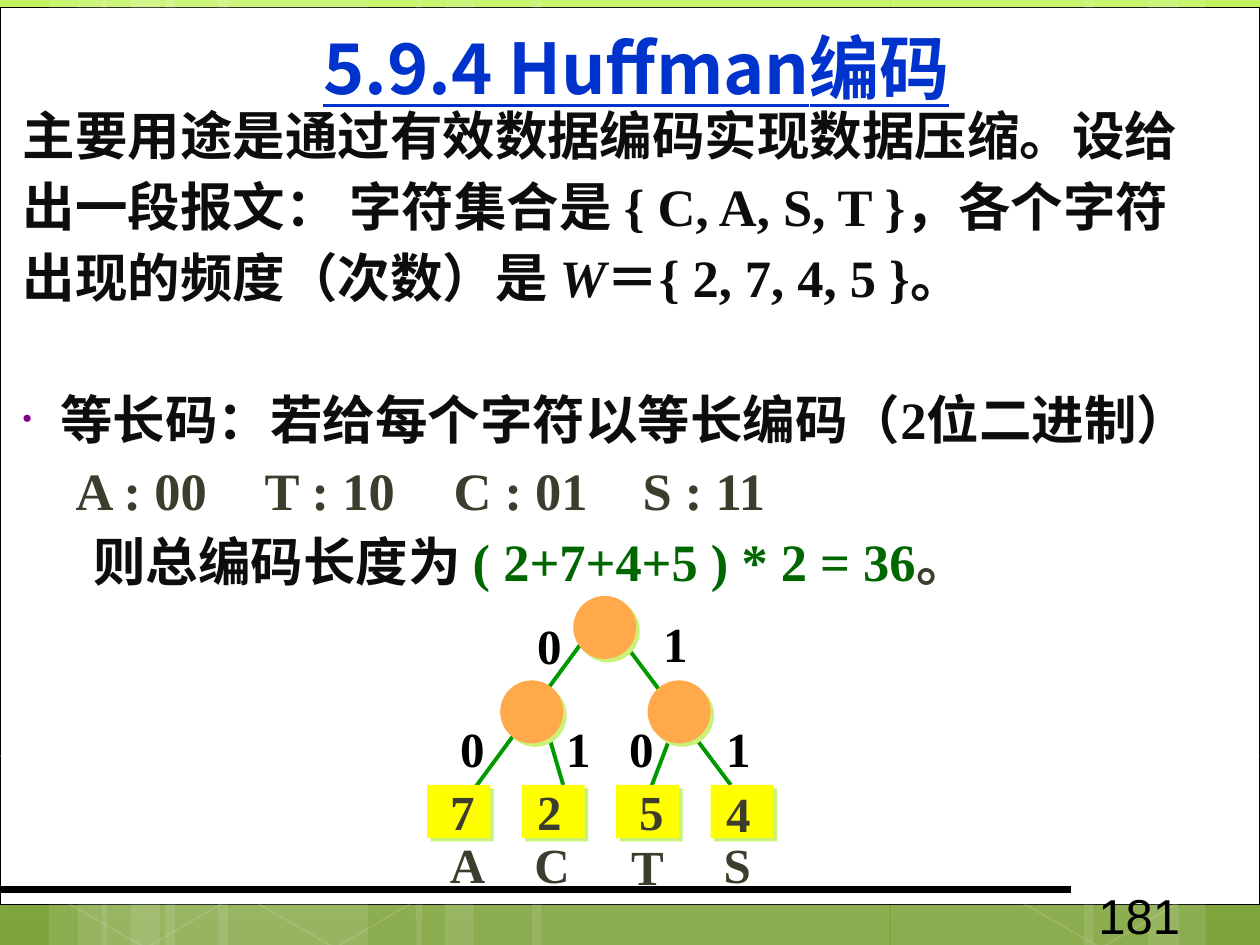
"""Builds a slide on Huffman coding with an equal-length code tree."""
import copy

import pptx
import pptx.util
import pptx.dml.color
import pptx.enum.shapes
import pptx.enum.text
import pptx.oxml.ns
from lxml import etree

Inches = pptx.util.Inches
Pt = pptx.util.Pt
RGBColor = pptx.dml.color.RGBColor
SHAPE = pptx.enum.shapes.MSO_SHAPE
STRAIGHT = pptx.enum.shapes.MSO_CONNECTOR.STRAIGHT
MIDDLE = pptx.enum.text.MSO_ANCHOR.MIDDLE
CENTER = pptx.enum.text.PP_ALIGN.CENTER
NO_FIT = pptx.enum.text.MSO_AUTO_SIZE.NONE
qn = pptx.oxml.ns.qn

WHITE = RGBColor(0xFF, 0xFF, 0xFF)
BLACK = RGBColor(0x00, 0x00, 0x00)
LIME = RGBColor(0xC2, 0xF3, 0x5F)
LEAF = RGBColor(0x92, 0xBE, 0x3F)
MOSS = RGBColor(0x80, 0xA3, 0x3D)
BLUE = RGBColor(0x00, 0x33, 0xCC)
INK = RGBColor(0x0D, 0x0D, 0x0D)
OLIVE = RGBColor(0x3E, 0x3D, 0x2D)
DARK_GREEN = RGBColor(0x00, 0x66, 0x00)
EDGE_GREEN = RGBColor(0x00, 0x99, 0x00)
ORANGE = RGBColor(0xFF, 0xA9, 0x4A)
YELLOW = RGBColor(0xFF, 0xFF, 0x00)
SERIF = "Times New Roman"
CJK = "Noto Sans CJK JP"


def add_text(para, text, size=28, color=OLIVE, font=SERIF, bold=True, italic=False, underline=False):
    span = para.add_run()
    span.text = text
    span.font.size = Pt(size)
    span.font.bold = bold
    span.font.italic = italic
    span.font.underline = underline
    span.font.color.rgb = color
    span.font.name = font
    span.font._element.find(qn("a:latin")).addnext(
        etree.Element(qn("a:ea"), typeface=CJK))


def set_alpha(element, percent):
    for color in element.iter(qn("a:srgbClr")):
        etree.SubElement(color, qn("a:alpha"), val=str(percent * 1000))


deck = pptx.Presentation()
deck.slide_width = Inches(10)
deck.slide_height = Inches(7.5)
slide = deck.slides.add_slide(deck.slide_layouts[1])
shapes = slide.shapes

backdrop = slide.background.fill
backdrop.gradient()
backdrop.gradient_angle = 270
stop_list = next(slide.element.iter(qn("a:gsLst")))
stop_list.insert(1, copy.deepcopy(stop_list[0]))
for stop, color, position in zip(backdrop.gradient_stops, (LIME, LEAF, MOSS), (0, 0.62, 1)):
    stop.color.rgb = color
    stop.position = position

panel = shapes.add_shape(SHAPE.RECTANGLE, 0, Inches(0.06), Inches(10), Inches(7.12))
panel.shadow.inherit = False
panel.fill.solid()
panel.fill.fore_color.rgb = WHITE
panel.line.color.rgb = BLACK
panel.line.width = Pt(0.5)

for left, width in [(1.31, 1.61), (0.39, 0.46), (0.62, 0.77), (1.73, 1.62), (0.81, 0.46),
                    (1.04, 0.77), (7.07, 1.61), (9.11, 0.46), (8.6, 0.76), (4.22, 2.84),
                    (3.3, 0.46), (3.53, 0.77)]:
    band = shapes.add_shape(SHAPE.RECTANGLE, Inches(left), 0, Inches(width), Inches(7.5))
    band.shadow.inherit = False
    band.fill.solid()
    band.fill.fore_color.rgb = WHITE
    band.line.fill.background()
    set_alpha(band._element, 10)

for points in [
    [(0.36, 6.17), (2, 6.96), (3.39, 7.49)],
    [(0.37, 5.78), (1.49, 6.16), (3.59, 6.73), (6.09, 7.18), (8.16, 7.36), (9.01, 7.38), (9.58, 7.34)],
    [(2.54, 7.49), (3.09, 6.91), (3.88, 6.39), (4.63, 6.09), (5.91, 5.78), (6.57, 5.69),
     (7.62, 5.62), (9.08, 5.62), (9.57, 5.66)],
]:
    builder = shapes.build_freeform(*points[0], scale=Inches(1))
    builder.add_line_segments(points[1:], close=False)
    curve = builder.convert_to_shape()
    curve.shadow.inherit = False
    curve.fill.background()
    curve.line.color.rgb = WHITE
    curve.line.width = Pt(0.5)
    set_alpha(curve._element, 20)

for left in (0.41, 1.91, 7.99):
    hexagon = shapes.add_shape(SHAPE.HEXAGON, Inches(left), Inches(5.92), Inches(1.61), Inches(1.52))
    hexagon.rotation = 30
    hexagon.adjustments[0] = 0.285
    hexagon.shadow.inherit = False
    hexagon.fill.background()
    hexagon.line.color.rgb = WHITE
    hexagon.line.width = Pt(1)
    set_alpha(hexagon._element, 12)

title, body = shapes.title, slide.placeholders[1]
frame = title.text_frame
title.left, title.top, title.width, title.height = Inches(0.55), 0, Inches(9), Inches(1.06)
frame.margin_left = frame.margin_right = frame.margin_top = frame.margin_bottom = 0
frame.vertical_anchor = MIDDLE
frame.word_wrap = False
frame.auto_size = NO_FIT
frame.paragraphs[0].alignment = CENTER
add_text(frame.paragraphs[0], "5.9.4 Huffman编码", size=40, color=BLUE, font=CJK, underline=True)

body.left, body.top, body.width, body.height = 0, Inches(0.8), Inches(9.8), Inches(6.18)
frame = body.text_frame
frame.margin_top = Inches(0.02)
frame.word_wrap = True
frame.auto_size = NO_FIT
lines = [
    (0.08, [("主要用途是通过有效数据编码实现数据压缩。设给", INK)]),
    (0.08, [("出一段报文： 字符集合是 { C, A, S, T }，各个字符", INK)]),
    (0.08, [("出现的频度（次数）是 ", INK), ("W", INK), ("＝{ 2, 7, 4, 5 }。", INK)]),
    (0.38, [("等长码：若给每个字符以等长编码（2位二进制）", INK)]),
    (0, [("\tA : 00\tT : 10\tC : 01\tS : 11", OLIVE)]),
    (0.64, [("则总编码长度为 ", INK), ("( 2+7+4+5 ) * 2 = 36", DARK_GREEN), ("。", OLIVE)]),
]
for index, (indent, spans) in enumerate(lines):
    para = frame.paragraphs[0] if index == 0 else frame.add_paragraph()
    bulleted = index == 3
    para.line_spacing = Pt(36)
    para.space_before = Pt(45 if bulleted else 4.5)
    for text, color in spans:
        add_text(para, text, size=30, color=color, italic=text == "W")
    properties = para._p.get_or_add_pPr()
    properties.set("marL", str(Inches(indent)))
    properties.set("indent", str(Inches(-0.3 if bulleted else 0)))
    if bulleted:
        bullet_color = etree.SubElement(properties, qn("a:buClr"))
        etree.SubElement(bullet_color, qn("a:srgbClr"), val="800080")
        etree.SubElement(properties, qn("a:buSzPct"), val="50000")
        etree.SubElement(properties, qn("a:buChar"), char="•")
    else:
        etree.SubElement(properties, qn("a:buNone"))
    if "\t" in spans[0][0]:
        tabs = etree.SubElement(properties, qn("a:tabLst"))
        for position in (1.41, 2.78, 4.23, 5.71):
            etree.SubElement(tabs, qn("a:tab"), pos=str(Inches(position)), algn="l")

for start_x, start_y, end_x, end_y, color, width in [
    (0, 7.06, 8.5, 7.06, BLACK, 4.5),
    (5.3, 5.9, 5.14, 6.32, EDGE_GREEN, 2.25),
    (4.8, 4.9, 5.8, 6.23, EDGE_GREEN, 2.25),
    (4.3, 5.65, 4.47, 6.23, EDGE_GREEN, 2.25),
    (4.64, 5.07, 3.72, 6.32, EDGE_GREEN, 2.25),
]:
    edge = shapes.add_connector(STRAIGHT, Inches(start_x), Inches(start_y), Inches(end_x), Inches(end_y))
    edge.line.color.rgb = color
    edge.line.width = Pt(width)
    etree.SubElement(edge._element.spPr, qn("a:effectLst"))
    if color == BLACK:
        for placeholder in (title, body):
            edge._element.getparent().append(placeholder._element)

nodes = [(SHAPE.OVAL, left, top, 0.5, ORANGE) for left, top in [(4.55, 4.73), (3.97, 5.4), (5.14, 5.4)]]
nodes += [(SHAPE.RECTANGLE, 3.39 + 0.75 * column, 6.23, 0.42, YELLOW) for column in range(4)]
for kind, left, top, height, color in nodes:
    node = shapes.add_shape(kind, Inches(left), Inches(top), Inches(0.5), Inches(height))
    node.fill.solid()
    node.fill.fore_color.rgb = color
    node.line.fill.background()
    node.shadow.inherit = False
    shadow = etree.SubElement(node._element.spPr.find(qn("a:effectLst")), qn("a:outerShdw"),
                              dist=str(Pt(2.8)), dir="2700000", algn="ctr", rotWithShape="0")
    etree.SubElement(shadow, qn("a:srgbClr"), val="CAF278")

for text, left, top, width, color in [
    ("7", 3.47, 6.15, 0.4, OLIVE), ("2", 4.16, 6.15, 0.4, OLIVE),
    ("5", 4.97, 6.15, 0.4, OLIVE), ("4", 5.66, 6.17, 0.4, OLIVE),
    ("0", 4.16, 4.83, 0.4, BLACK), ("1", 5.16, 4.82, 0.4, BLACK),
    ("0", 3.55, 5.65, 0.4, BLACK), ("1", 4.39, 5.65, 0.4, BLACK),
    ("0", 4.89, 5.65, 0.4, BLACK), ("1", 5.66, 5.65, 0.4, BLACK),
    ("A", 3.47, 6.57, 0.48, OLIVE), ("C", 4.14, 6.57, 0.48, OLIVE),
    ("T", 4.91, 6.59, 0.46, OLIVE), ("S", 5.64, 6.57, 0.42, OLIVE),
]:
    label = shapes.add_textbox(Inches(left), Inches(top), Inches(width), Inches(0.57))
    label.text_frame.word_wrap = False
    label.text_frame.vertical_anchor = MIDDLE
    label.text_frame.paragraphs[0].alignment = CENTER
    add_text(label.text_frame.paragraphs[0], text, color=color)

number_box = shapes.add_textbox(Inches(8.62), Inches(6.98), Inches(1.46), Inches(0.4))
number_box.text_frame.word_wrap = True
add_text(number_box.text_frame.paragraphs[0], "181", color=BLACK, font="Arial", bold=False)

deck.save("out.pptx")
